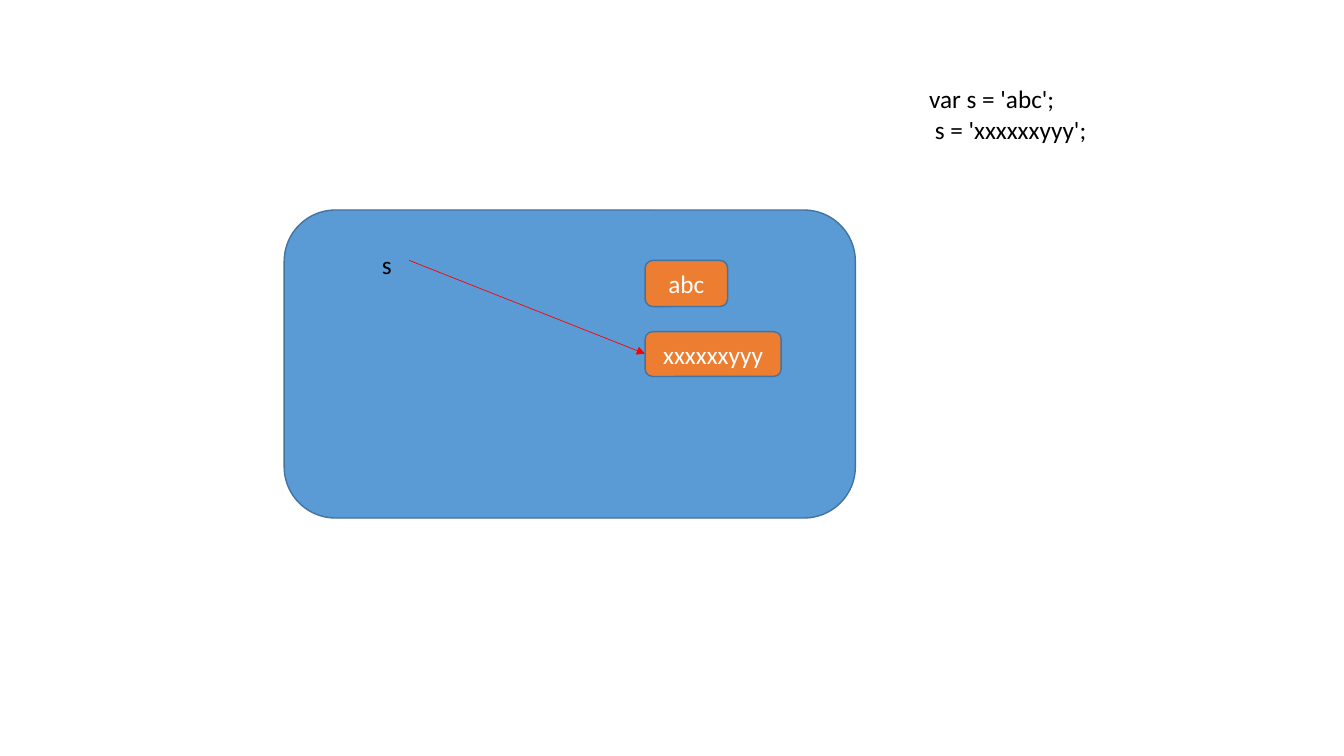
from dataclasses import dataclass
from lxml.etree import SubElement
from pptx import Presentation
from pptx.dml.color import RGBColor as RGB
from pptx.enum.shapes import MSO_CONNECTOR as LINE, MSO_SHAPE as SHAPE
from pptx.enum.text import MSO_ANCHOR as ANCHOR, MSO_AUTO_SIZE as FIT, PP_ALIGN as ALIGN
from pptx.oxml.ns import qn
from pptx.util import Pt


@dataclass(frozen=True)
class Theme:
    font: str = "Calibri"
    size: float = 18
    dark: str = "000000"
    light: str = "FFFFFF"
    scope: str = "5B9BD5"
    value: str = "ED7D31"
    edge: str = "43739E"
    arrow: str = "FF0000"


class Board:
    def __init__(self, slide, theme):
        self.shapes = slide.shapes
        self.theme = theme

    def letter(self, frame, text, color, align):
        frame.text = text
        for para in frame.paragraphs:
            para.alignment = align
            for run in para.runs:
                run.font.name = self.theme.font
                run.font.size = Pt(self.theme.size)
                run.font.color.rgb = RGB.from_string(color)

    def box(self, left, top, width, height, fill, text=""):
        box = self.shapes.add_shape(
            SHAPE.ROUNDED_RECTANGLE, Pt(left), Pt(top), Pt(width), Pt(height))
        box.shadow.inherit = False
        box.fill.solid()
        box.fill.fore_color.rgb = RGB.from_string(fill)
        box.line.color.rgb = RGB.from_string(self.theme.edge)
        box.line.width = Pt(1)
        if text:
            box.text_frame.vertical_anchor = ANCHOR.MIDDLE
            self.letter(box.text_frame, text, self.theme.light, ALIGN.CENTER)

    def label(self, left, top, width, height, text):
        label = self.shapes.add_textbox(Pt(left), Pt(top), Pt(width), Pt(height))
        frame = label.text_frame
        frame.word_wrap = False
        frame.auto_size = FIT.SHAPE_TO_FIT_TEXT
        self.letter(frame, text, self.theme.dark, ALIGN.LEFT)

    def arrow(self, left, top, right, bottom):
        line = self.shapes.add_connector(
            LINE.STRAIGHT, Pt(left), Pt(top), Pt(right), Pt(bottom))
        line.line.color.rgb = RGB.from_string(self.theme.arrow)
        line.line.width = Pt(0.5)
        props = line.element.spPr
        SubElement(props.find(qn("a:ln")), qn("a:tailEnd"), type="triangle")
        SubElement(props, qn("a:effectLst"))


deck = Presentation()
deck.slide_width, deck.slide_height = Pt(960), Pt(540)
theme = Theme()
board = Board(deck.slides.add_slide(deck.slide_layouts[6]), theme)

# Memory area and the code that fills it
board.box(203, 150, 408, 220, theme.scope)
board.label(656.6, 56.2, 131.8, 51, "var s = 'abc';\n s = 'xxxxxxyyy';")

# Variable, its old value and its new value
col = 460.8
board.box(col, 186, 59, 33, theme.value, "abc")
board.label(265.7, 174.2, 21.6, 29, "s")
board.arrow(292.3, 186, col, 252.7)
board.box(col, 236.9, 97.2, 32, theme.value, "xxxxxxyyy")

deck.save("out.pptx")
